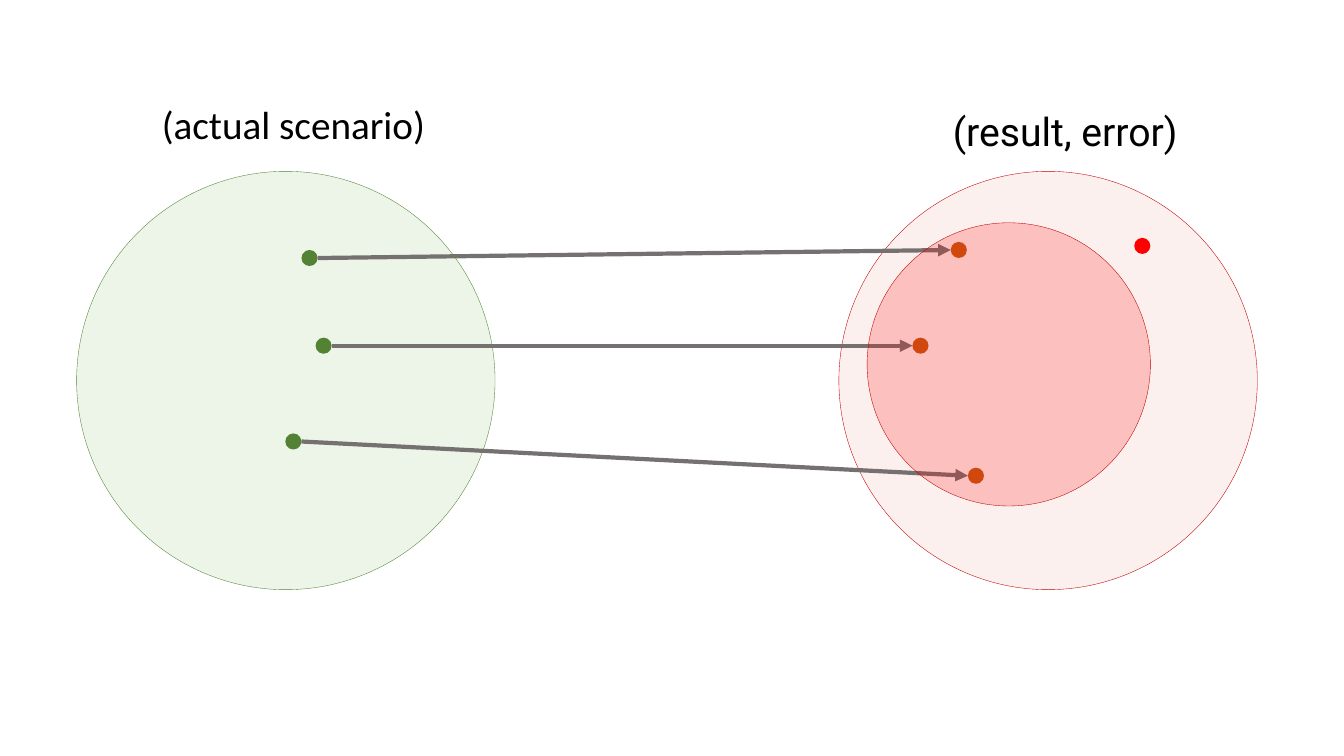
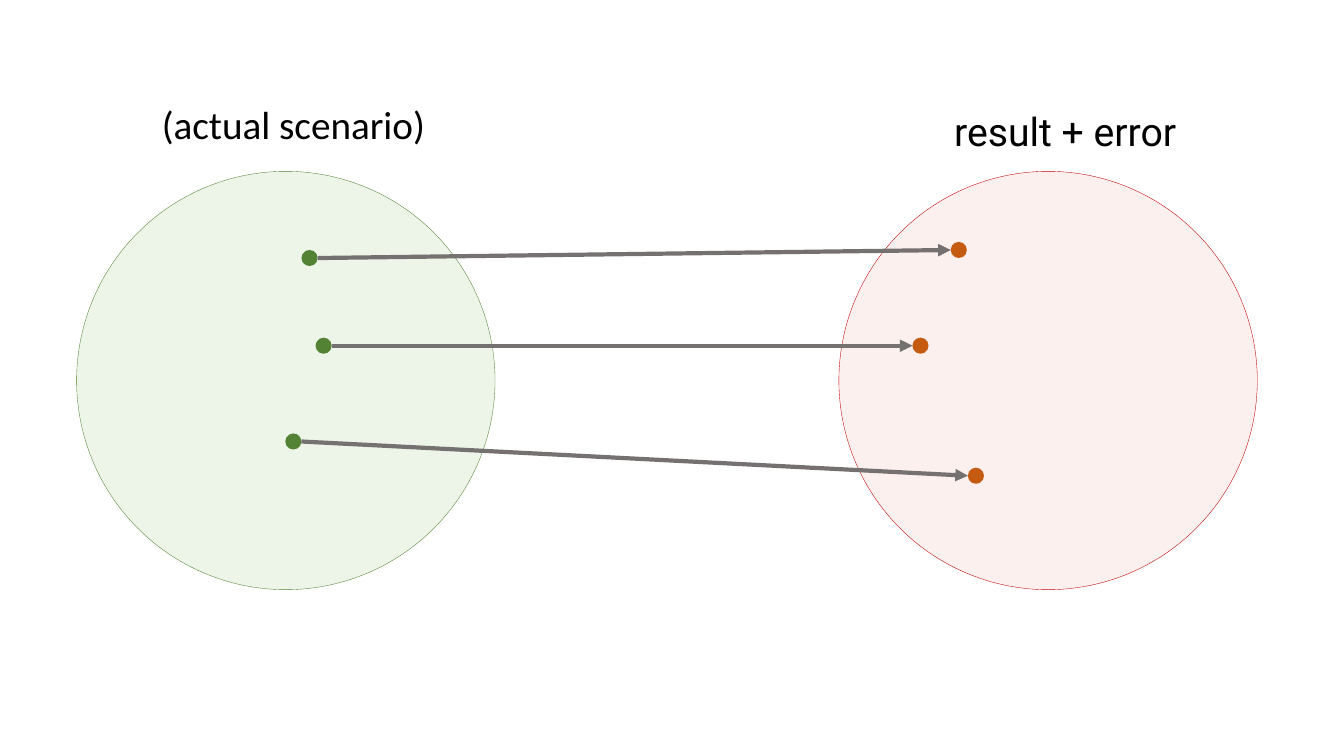
from dataclasses import dataclass

from lxml import etree
from pptx import Presentation
from pptx.dml.color import RGBColor
from pptx.enum.shapes import MSO_CONNECTOR, MSO_SHAPE
from pptx.enum.text import MSO_ANCHOR, MSO_AUTO_SIZE, PP_ALIGN
from pptx.oxml.ns import qn
from pptx.slide import Slide
from pptx.util import Inches, Pt

OVAL = MSO_SHAPE.OVAL
STRAIGHT = MSO_CONNECTOR.STRAIGHT
CENTER = PP_ALIGN.CENTER
TOP = MSO_ANCHOR.TOP
FIT = MSO_AUTO_SIZE.SHAPE_TO_FIT_TEXT

BLACK = RGBColor(0x00, 0x00, 0x00)
GREEN = RGBColor(0x54, 0x82, 0x35)
LIME = RGBColor(0xA9, 0xD1, 0x8E)
ORANGE = RGBColor(0xC5, 0x5A, 0x11)
PINK = RGBColor(0xF0, 0xB4, 0xAE)
CRIMSON = RGBColor(0xC0, 0x00, 0x00)
RED = RGBColor(0xFF, 0x00, 0x00)
GRAY = RGBColor(0x76, 0x71, 0x71)

DOT = 0.16
ALPHA = 20


@dataclass(frozen=True)
class Region:
    """A translucent circle that stands for a set."""
    left: float
    top: float
    size: float
    fill: RGBColor
    line: RGBColor


@dataclass(frozen=True)
class Dot:
    """An element of a set, placed by its left top corner."""
    left: float
    top: float
    fill: RGBColor


@dataclass(frozen=True)
class Label:
    """A heading above a set."""
    text: str
    left: float
    top: float
    width: float
    font: str


RANGE = Region(8.32, 1.7, 4.15, PINK, CRIMSON)
DOMAIN = Region(0.76, 1.7, 4.15, LIME, GREEN)
IMAGE = Region(8.6, 2.21, 2.81, RED, CRIMSON)
PAIRS = [
    (Dot(3.13, 3.35, GREEN), Dot(9.05, 3.35, ORANGE)),
    (Dot(2.83, 4.3, GREEN), Dot(9.6, 4.64, ORANGE)),
    (Dot(2.99, 2.48, GREEN), Dot(9.43, 2.4, ORANGE)),
]
STRAY = Dot(11.25, 2.36, RED)
ACTUAL = Label("(actual scenario)", 1.49, 0.95, 2.84, "Calibri")


def add_oval(slide: Slide, left: float, top: float, size: float, fill: RGBColor):
    """Add a borderless circle and return it."""
    oval = slide.shapes.add_shape(OVAL, Inches(left), Inches(top), Inches(size), Inches(size))
    oval.shadow.inherit = False
    oval.fill.solid()
    oval.fill.fore_color.rgb = fill
    oval.line.fill.background()
    return oval


def add_region(slide: Slide, region: Region) -> None:
    """Add a translucent circle with a thin border."""
    oval = add_oval(slide, region.left, region.top, region.size, region.fill)
    color = oval.fill._xPr.find(qn("a:solidFill"))[0]
    etree.SubElement(color, qn("a:alpha"), val=str(ALPHA * 1000))
    oval.line.color.rgb = region.line
    oval.line.width = Pt(0.25)


def add_dot(slide: Slide, dot: Dot) -> None:
    """Add a solid dot."""
    add_oval(slide, dot.left, dot.top, DOT, dot.fill)


def add_arrow(slide: Slide, start: Dot, end: Dot) -> None:
    """Add an arrow from the right of one dot to the left of another."""
    arrow = slide.shapes.add_connector(
        STRAIGHT,
        Inches(start.left + DOT), Inches(start.top + DOT / 2),
        Inches(end.left), Inches(end.top + DOT / 2),
    )
    arrow.line.color.rgb = GRAY
    arrow.line.width = Pt(3)
    etree.SubElement(arrow.line._get_or_add_ln(), qn("a:tailEnd"), type="triangle")
    etree.SubElement(arrow._element.spPr, qn("a:effectLst"))


def add_label(slide: Slide, label: Label) -> None:
    """Add a centred heading."""
    box = slide.shapes.add_textbox(
        Inches(label.left), Inches(label.top), Inches(label.width), Inches(0.57))
    frame = box.text_frame
    frame.word_wrap = False
    frame.auto_size = FIT
    frame.vertical_anchor = TOP
    frame.text = label.text
    line = frame.paragraphs[0]
    line.alignment = CENTER
    font = line.runs[0].font
    font.name = label.font
    font.size = Pt(28)
    font.color.rgb = BLACK


def add_map(deck, result: str, partial: bool) -> None:
    """Add a slide that maps scenarios to results."""
    slide = deck.slides.add_slide(deck.slide_layouts[6])
    add_region(slide, RANGE)
    add_region(slide, DOMAIN)
    for start, end in PAIRS:
        add_dot(slide, start)
        add_dot(slide, end)
        add_arrow(slide, start, end)
    if partial:
        add_region(slide, IMAGE)
        add_dot(slide, STRAY)
    add_label(slide, ACTUAL)
    add_label(slide, Label(result, 9.26, 1.02, 2.61, "Roboto"))


def main() -> None:
    """Build and save the deck."""
    deck = Presentation()
    deck.slide_width = Inches(13.33)
    deck.slide_height = Inches(7.5)
    add_map(deck, "(result, error)", True)
    add_map(deck, "result + error", False)
    deck.save("out.pptx")


if __name__ == "__main__":
    main()
